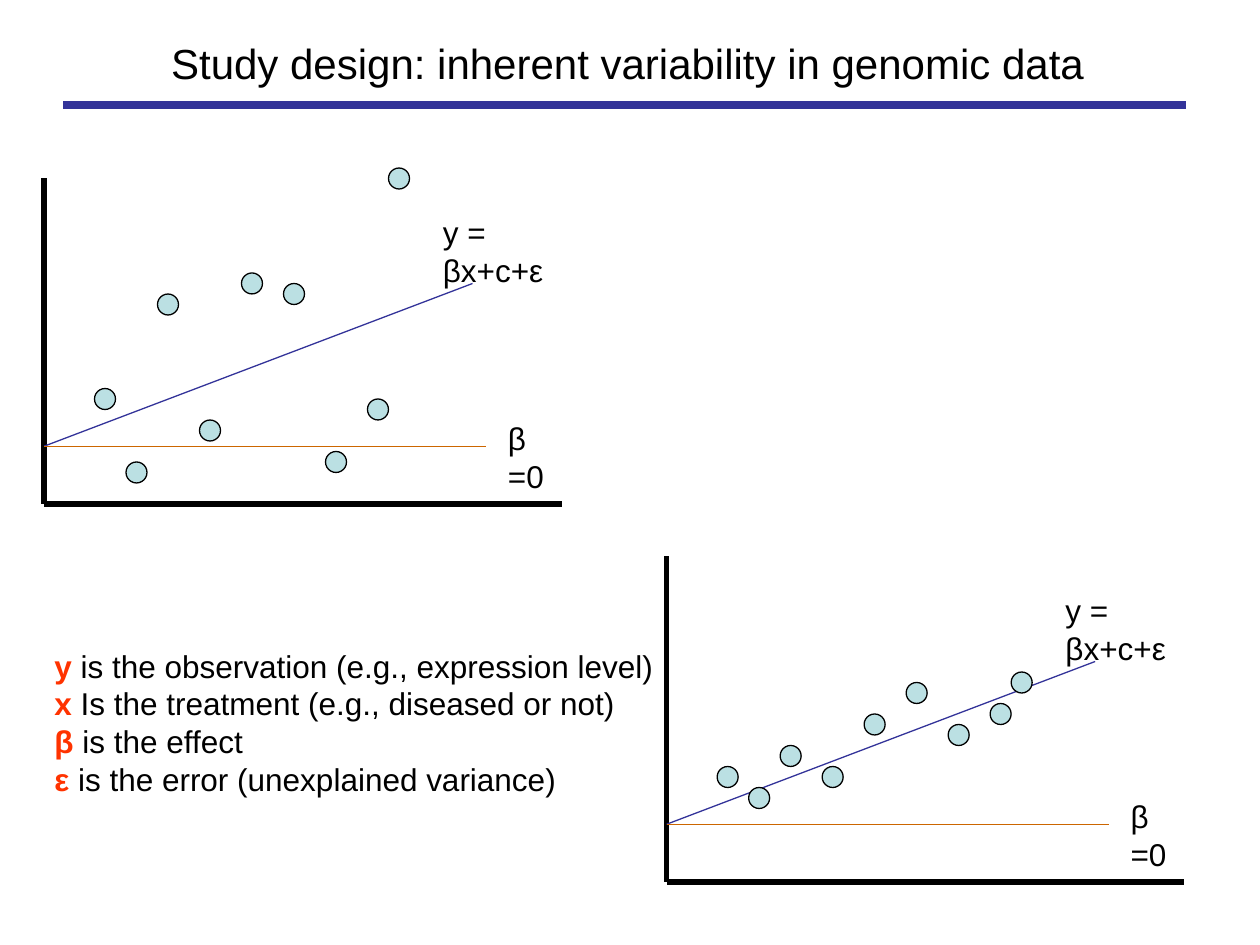
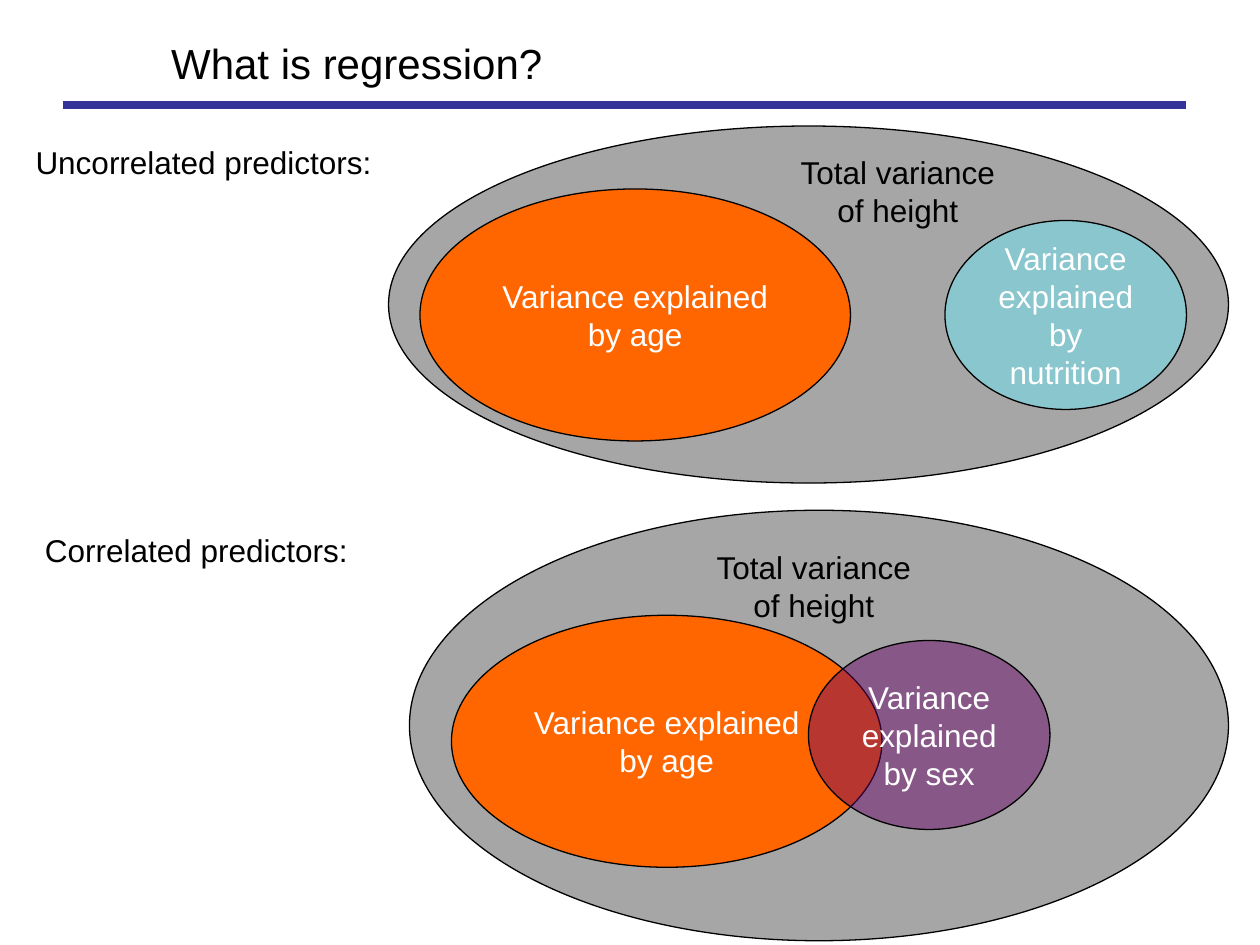
from lxml.etree import SubElement
from pptx import Presentation
from pptx.dml.color import RGBColor
from pptx.enum.shapes import MSO_CONNECTOR, MSO_SHAPE
from pptx.enum.text import MSO_ANCHOR, MSO_AUTO_SIZE, PP_ALIGN
from pptx.oxml.ns import qn
from pptx.util import Inches, Pt

COLS, ROWS = 120, 90
WIDE, HIGH = Inches(10), Inches(7.5)
FONT = "Arial"
HUES = {
    "ink": "000000", "white": "FFFFFF", "rule": "333399", "flat": "CC6600",
    "dot": "BBE0E3", "key": "FF3300", "total": "A6A6A6", "age": "FF6600",
    "food": "8AC6CD", "sex": "660066",
}
STEPS = (0, 3, 6, 10, 14, 18, 22, 26, 28)
NOISY = (11, 4, 20, 8, 22, 21, 5, 10, 32)
TIGHT = (11, 9, 13, 11, 16, 19, 15, 17, 20)
TERMS = (
    ("y", " is the observation (e.g., expression level)"),
    ("x", " Is the treatment (e.g., diseased or not)"),
    ("β", " is the effect"),
    ("ε", " is the error (unexplained variance)"),
)


def hue(name):
    """Return the colour with this name."""
    return RGBColor.from_string(HUES[name])


def cells(*spans):
    """Turn alternating column and row counts into lengths."""
    units = (WIDE / COLS, HIGH / ROWS)
    return [round(span * units[i % 2]) for i, span in enumerate(spans)]


def write(frame, lines, size=18, color="ink", align=PP_ALIGN.LEFT,
          anchor=MSO_ANCHOR.TOP, wrap=True):
    """Fill a text frame; a line is a string or a pair of key and meaning."""
    frame.auto_size = MSO_AUTO_SIZE.NONE
    frame.word_wrap = wrap
    frame.vertical_anchor = anchor
    for i, line in enumerate(lines):
        para = frame.add_paragraph() if i else frame.paragraphs[0]
        para.alignment = align
        parts = [(line, color, False)]
        if isinstance(line, tuple):
            parts = [(line[0], "key", True), (line[1], color, False)]
        for words, tint, bold in parts:
            run = para.add_run()
            run.text = words
            run.font.name, run.font.size, run.font.bold = FONT, Pt(size), bold
            run.font.color.rgb = hue(tint)


def label(slide, box, *lines, **style):
    """Add a text box on the grid."""
    write(slide.shapes.add_textbox(*cells(*box)).text_frame, lines, **style)


def line(slide, start, end, color="ink", width=0.75):
    """Draw a straight line between two grid points."""
    link = slide.shapes.add_connector(
        MSO_CONNECTOR.STRAIGHT, *cells(*start), *cells(*end))
    link.line.color.rgb = hue(color)
    link.line.width = Pt(width)
    SubElement(link._element.spPr, qn("a:effectLst"))


def oval(slide, box, fill, text=None, alpha=None):
    """Add an outlined ellipse with optional text and opacity in percent."""
    shape = slide.shapes.add_shape(MSO_SHAPE.OVAL, *cells(*box))
    shape.shadow.inherit = False
    shape.fill.solid()
    shape.fill.fore_color.rgb = hue(fill)
    shape.line.color.rgb = hue("ink")
    shape.line.width = Pt(0.75)
    if alpha:
        tint = shape._element.spPr.find(".//" + qn("a:srgbClr"))
        SubElement(tint, qn("a:alpha")).set("val", str(alpha * 1000))
    if text:
        write(shape.text_frame, [text], color="white",
              align=PP_ALIGN.CENTER, anchor=MSO_ANCHOR.MIDDLE)


def page(deck, title, span):
    """Add a slide with its title and the rule below it."""
    slide = deck.slides.add_slide(deck.slide_layouts[5])
    head = slide.shapes.title
    head.left, head.top, head.width, head.height = cells(15.1, 3, span, 6)
    write(head.text_frame, [title], size=24)
    line(slide, (6, 10), (113, 10), "rule", 4.5)
    return slide


def plot(slide, left, base, rises):
    """Draw axes, fitted line, flat line and points from an origin."""
    def spot(run, rise):
        """Give the grid point at this distance from the origin."""
        return left + run, base - rise

    line(slide, spot(0, 31), spot(0, 0), width=3)
    line(slide, spot(0, 0), spot(49.3, 0), width=3)
    line(slide, spot(0, 5.5), spot(40.8, 21), "rule")
    line(slide, spot(0, 5.5), spot(42.1, 5.5), "flat")
    label(slide, (*spot(36.8, 28.3), 13.2, 7.8), "y = βx+c+ε")
    label(slide, (*spot(43, 8.7), 7.2, 7.8), "β =0")
    for step, rise in zip(STEPS, rises):
        oval(slide, (*spot(4.8 + step, rise), 2, 2), "dot")


def total(slide, box, note):
    """Draw the total variance and its centred label."""
    oval(slide, box, "total")
    label(slide, (*note, 21, 12), "Total variance of height",
          align=PP_ALIGN.CENTER)


def age(slide, left, top):
    """Draw the share explained by age."""
    oval(slide, (left, top, 41, 24), "age", "Variance explained by age")


def main():
    """Build both slides and save them."""
    deck = Presentation()
    deck.slide_width, deck.slide_height = WIDE, HIGH

    study = page(
        deck, "Study design: inherent variability in genomic data", 92)
    plot(study, 4.2, 48, NOISY)
    plot(study, 63.5, 84, TIGHT)
    label(study, (4, 61, 59.4, 15.6), *TERMS, wrap=False)

    model = page(deck, "What is regression?", 40)
    total(model, (37, 12, 80, 34), (75, 14))
    age(model, 40, 18)
    oval(model, (90, 21, 23, 18), "food", "Variance explained by nutrition")
    total(model, (39, 48.6, 78, 41), (67, 51.6))
    age(model, 43, 58.6)
    oval(model, (77, 61, 23, 18), "sex", "Variance explained by sex", 47)
    label(model, (2.2, 13, 34.4, 4.8), "Uncorrelated predictors:", wrap=False)
    label(model, (3.1, 50, 31.2, 4.8), "Correlated predictors:", wrap=False)

    deck.save("out.pptx")


if __name__ == "__main__":
    main()
